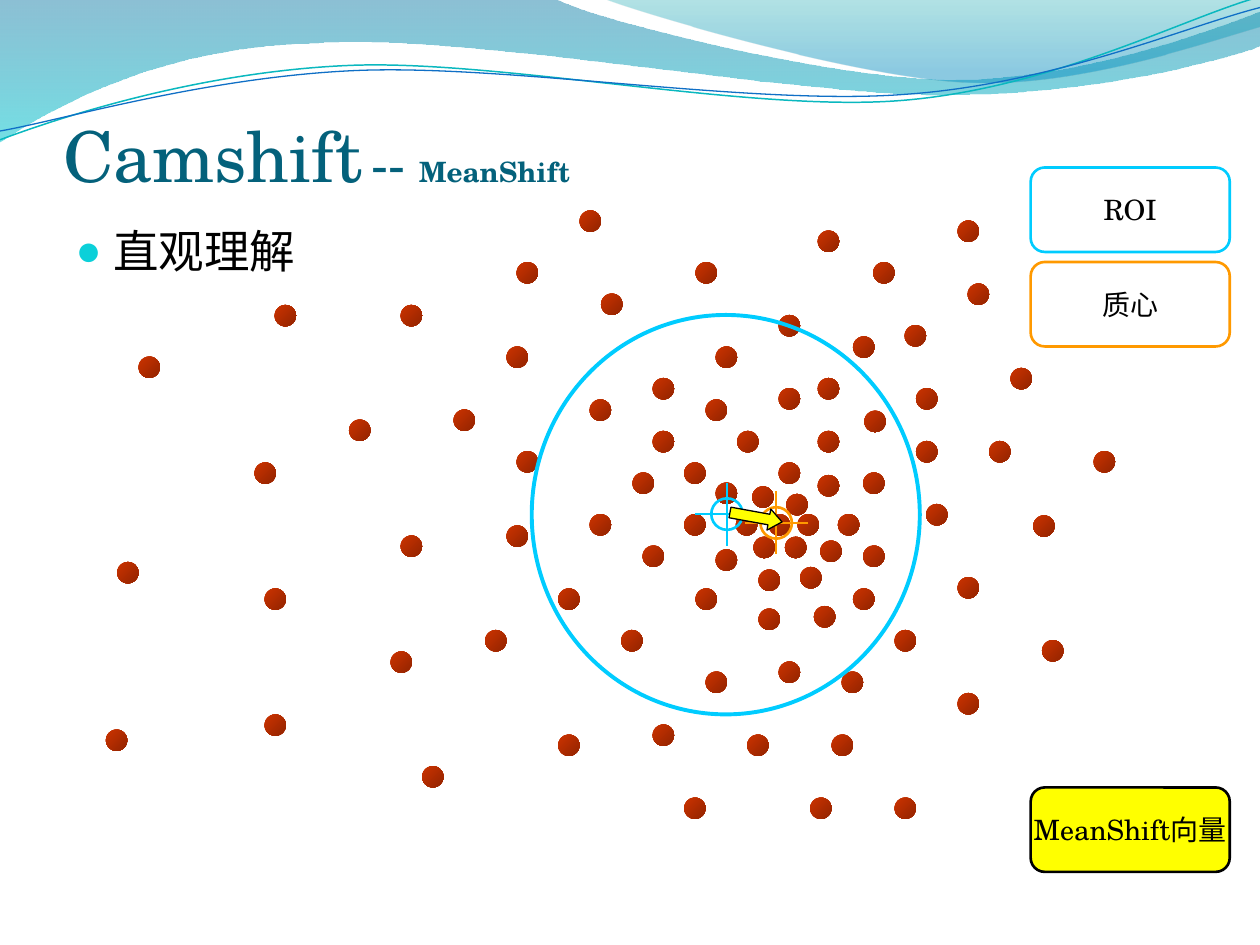
from dataclasses import dataclass
from typing import NamedTuple, Optional

from lxml.etree import SubElement as Sub
from pptx import Presentation
from pptx.dml.color import RGBColor as RGB
from pptx.enum.shapes import MSO_CONNECTOR as Link, MSO_SHAPE as Kind
from pptx.enum.text import MSO_ANCHOR as Anchor, PP_ALIGN as Align
from pptx.oxml.ns import qn
from pptx.util import Inches, Pt


@dataclass(frozen=True)
class Theme:
    font: str = "TeX Gyre Schola"
    han: str = "Noto Sans CJK SC"
    ink: str = "000000"
    head: str = "04617B"
    bullet: str = "0BD0D9"
    cyan: str = "00CCFF"
    orange: str = "FF9900"
    yellow: str = "FFFF00"
    rust: str = "CC3300"
    big: int = 40
    dash: int = 29
    body: int = 26
    small: int = 16


class Stop(NamedTuple):
    pos: float
    color: str
    alpha: int = 100
    shade: float = 100


class Wave(NamedTuple):
    """Start point, then steps: 2 numbers for a line, 6 for a curve."""
    start: tuple
    steps: list
    stops: tuple = ()
    line: str = ""
    width: float = 0


class Label(NamedTuple):
    text: str
    top: float
    line: str
    fill: Optional[str] = None


T = Theme()
DOT = 0.17
DOT_FILL = (Stop(0, T.rust), Stop(1, T.rust, shade=47.5))

WAVES = [
    Wave((0, 0), [(4.4, -0.01), (4.76, 0.17, 6.64, 0.63, 7.58, 0.63),
                  (8.53, 0.63, 9.58, 0.26, 10, 0.09), (10.01, 0.36),
                  (9.83, 0.44, 8.7, 0.76, 7.46, 0.75),
                  (6.22, 0.75, 3.82, 0.28, 2.57, 0.34),
                  (1.29, 0.36, 0.46, 0.83, -0.01, 1.13), (0, 0)],
         (Stop(0, "0074A1", 45), Stop(1, "00C6CF", 55))),
    Wave((4.79, -0.01), [(5.09, 0.11, 6.82, 0.62, 7.69, 0.65),
                         (8.56, 0.69, 9.61, 0.32, 10, 0.21), (10, 0), (4.79, -0.01)],
         (Stop(0, "00A1A9", 30), Stop(0.8, "008BBF", 45))),
    Wave((0, 1.11), [(0.48, 0.93, 1.58, 0.57, 2.77, 0.52),
                     (3.95, 0.47, 5.93, 0.89, 7.13, 0.8),
                     (8.33, 0.71, 9.38, 0.15, 9.98, -0.02)],
         line="0AB8BF", width=0.85),
    Wave((0, 1.04), [(0.47, 0.96, 1.64, 0.61, 2.83, 0.56),
                     (4.03, 0.51, 5.97, 0.84, 7.17, 0.75),
                     (8.36, 0.67, 9.41, 0.21, 10, 0.06)],
         line="0F6FC6", width=0.75),
]

# Left and top of each sample point
DOTS = [
    (6.1, 4.08), (6.33, 4.08), (6.24, 3.92), (5.97, 3.86), (6.23, 4.26), (5.98, 4.26),
    (6.51, 4.29), (5.84, 4.08), (6.65, 4.08), (6.49, 3.77), (6.18, 3.67), (6.35, 4.5),
    (6.02, 4.52), (5.68, 4.36), (5.43, 4.08), (5.68, 3.83), (6.85, 4.33), (6.77, 4.67),
    (6.46, 4.81), (6.02, 4.83), (5.52, 4.67), (5.1, 4.33), (5.02, 3.75), (5.43, 3.67),
    (5.85, 3.42), (6.49, 3.42), (6.18, 3.08), (5.18, 3.42), (5.6, 3.17), (6.18, 2.5),
    (5.68, 2.75), (6.49, 3), (6.49, 1.83), (6.77, 2.67), (6.86, 3.26), (6.85, 3.75),
    (7.27, 3.5), (7.27, 3.08), (7.18, 2.58), (6.93, 2.08), (7.6, 1.75), (7.68, 2.25),
    (8.02, 2.92), (7.35, 4), (7.85, 3.5), (8.68, 3.58), (7.6, 4.58), (8.2, 4.09),
    (7.1, 5), (8.27, 5.08), (7.6, 5.5), (6.68, 5.33), (6.18, 5.25), (6.6, 5.83),
    (7.1, 6.33), (6.43, 6.33), (5.93, 5.83), (5.6, 5.33), (4.93, 5), (5.18, 5.75),
    (5.43, 6.33), (4.43, 5.83), (3.85, 5), (4.43, 4.67), (4.68, 4.08), (4.1, 3.58),
    (4.68, 3.17), (5.18, 3), (4.77, 2.33), (5.52, 2.08), (4.6, 1.67), (4.1, 2.08),
    (4.02, 2.75), (3.6, 3.25), (4.02, 4.17), (3.18, 4.25), (3.1, 5.17), (3.35, 6.08),
    (2.1, 5.67), (2.1, 4.67), (2.77, 3.33), (3.18, 2.42), (2.18, 2.42), (2.02, 3.67),
    (0.84, 5.79), (0.93, 4.46), (1.1, 2.83),
]

LABELS = [
    Label("ROI", 1.33, T.cyan),
    Label("质心", 2.08, T.orange),
    Label("MeanShift向量", 6.25, T.ink, T.yellow),
]


def write(para, text: str, *, size: float, color: str = T.ink,
          font: str = T.font, bold: bool = False) -> None:
    run = para.add_run()
    run.text = text
    run.font.size, run.font.bold, run.font.name = Pt(size), bold, font
    run.font.color.rgb = RGB.from_string(color)
    Sub(run.font._element, qn("a:ea"), typeface=T.han)


def blend(shape, stops: tuple, angle: float) -> None:
    shape.fill.gradient()
    shape.fill.gradient_angle = 360 - angle
    for mark, stop in zip(shape.fill.gradient_stops, stops):
        mark.position = stop.pos
        mark.color.rgb = RGB.from_string(stop.color)
    for node, stop in zip(shape._element.iter(qn("a:srgbClr")), stops):
        for tag, share in (("a:alpha", stop.alpha), ("a:shade", stop.shade)):
            if share < 100:
                Sub(node, qn(tag), val=str(int(share * 1000)))


def paint(shape, fill: Optional[str] = None, line: str = "", width: float = 0) -> None:
    shape.shadow.inherit = False
    if fill:
        shape.fill.solid()
        shape.fill.fore_color.rgb = RGB.from_string(fill)
    else:
        shape.fill.background()
    if line:
        shape.line.color.rgb = RGB.from_string(line)
        shape.line.width = Pt(width)
    else:
        shape.line.fill.background()


def place(shapes, kind, x: float, y: float, w: float, h: float, **look):
    shape = shapes.add_shape(kind, Inches(x), Inches(y), Inches(w), Inches(h))
    paint(shape, **look)
    return shape


def draw_wave(shapes, wave: Wave) -> None:
    pen = shapes.build_freeform(*map(Inches, wave.start), scale=1.0)
    for step in wave.steps:
        nums = [Inches(v) for v in step]
        pen.add_line_segments(list(zip(nums[::2], nums[1::2])), close=False)
    shape = pen.convert_to_shape()

    # Join the three points of each curve into one Bezier segment
    legs = iter(list(shape._element.iter(qn("a:lnTo"))))
    for step in wave.steps:
        leg = next(legs)
        if len(step) == 6:
            leg.tag = qn("a:cubicBezTo")
            for _ in range(2):
                more = next(legs)
                leg.append(more[0])
                more.getparent().remove(more)

    paint(shape, line=wave.line, width=wave.width)
    if wave.stops:
        blend(shape, wave.stops, 90)


def draw_target(shapes, x: float, y: float, color: str, arm: float = 0.25) -> None:
    place(shapes, Kind.OVAL, x - arm / 2, y - arm / 2, arm, arm, line=color, width=1.5)
    for dx, dy in ((0, arm), (arm, 0)):
        ends = [Inches(v) for v in (x - dx, y - dy, x + dx, y + dy)]
        hair = shapes.add_connector(Link.STRAIGHT, *ends)
        hair.line.color.rgb = RGB.from_string(color)
        hair.line.width = Pt(0.75)
        Sub(hair._element.spPr, qn("a:effectLst"))


def draw_label(shapes, label: Label) -> None:
    box = place(shapes, Kind.ROUNDED_RECTANGLE, 8.18, label.top, 1.58, 0.67,
                fill=label.fill, line=label.line, width=1.5)
    frame = box.text_frame
    frame.word_wrap, frame.vertical_anchor = False, Anchor.MIDDLE
    frame.paragraphs[0].alignment = Align.CENTER
    write(frame.paragraphs[0], label.text, size=T.small)


def fill_holder(holder, x: float, y: float, w: float, h: float):
    holder.left, holder.top, holder.width, holder.height = map(Inches, (x, y, w, h))
    para = holder.text_frame.paragraphs[0]
    para.alignment = Align.LEFT
    return para


def main() -> None:
    deck = Presentation()
    deck.slide_width, deck.slide_height = Inches(10), Inches(7.5)
    slide = deck.slides.add_slide(deck.slide_layouts[1])
    shapes, title, body = slide.shapes, slide.shapes.title, slide.placeholders[1]

    # Waves go behind the text
    for wave in WAVES:
        draw_wave(shapes, wave)
    for holder in (body, title):
        shapes._spTree.append(holder._element)

    # Bulleted list
    para = fill_holder(body, 0.5, 1.72, 9, 5.2)
    para.space_before = Pt(5)
    props = para._p.get_or_add_pPr()
    props.set("marL", str(Inches(0.3)))
    props.set("indent", str(Inches(-0.3)))
    Sub(Sub(props, qn("a:buClr")), qn("a:srgbClr"), val=T.bullet)
    Sub(props, qn("a:buSzPct"), val="95000")
    Sub(props, qn("a:buChar"), char="●")
    write(para, "直观理解", size=T.body, font=T.han)

    # Title
    para = fill_holder(title, 0.5, 0.77, 9, 0.79)
    frame = title.text_frame
    frame.vertical_anchor = Anchor.BOTTOM
    frame.margin_left = frame.margin_right = frame.margin_bottom = 0
    write(para, "Camshift", size=T.big, color=T.head)
    write(para, " ", size=T.small, color=T.head, bold=True)
    write(para, "-- ", size=T.dash, color=T.head)
    write(para, "MeanShift", size=T.small, color=T.head, bold=True)

    # Sample points
    for x, y in DOTS:
        blend(place(shapes, Kind.OVAL, x, y, DOT, DOT), DOT_FILL, 45)

    # Region, its centre, the legend, the centroid and the shift vector
    place(shapes, Kind.OVAL, 4.22, 2.5, 3.08, 3.17, line=T.cyan, width=2.25)
    draw_target(shapes, 5.77, 4.08, T.cyan)
    for label in LABELS:
        draw_label(shapes, label)
    draw_target(shapes, 6.16, 4.15, T.orange)
    arrow = place(shapes, Kind.RIGHT_ARROW, 5.79, 4.02, 0.42, 0.17,
                  fill=T.yellow, line=T.ink, width=0.75)
    arrow.adjustments[1] = 0.625
    arrow.rotation = 10.3

    deck.save("out.pptx")


if __name__ == "__main__":
    main()
